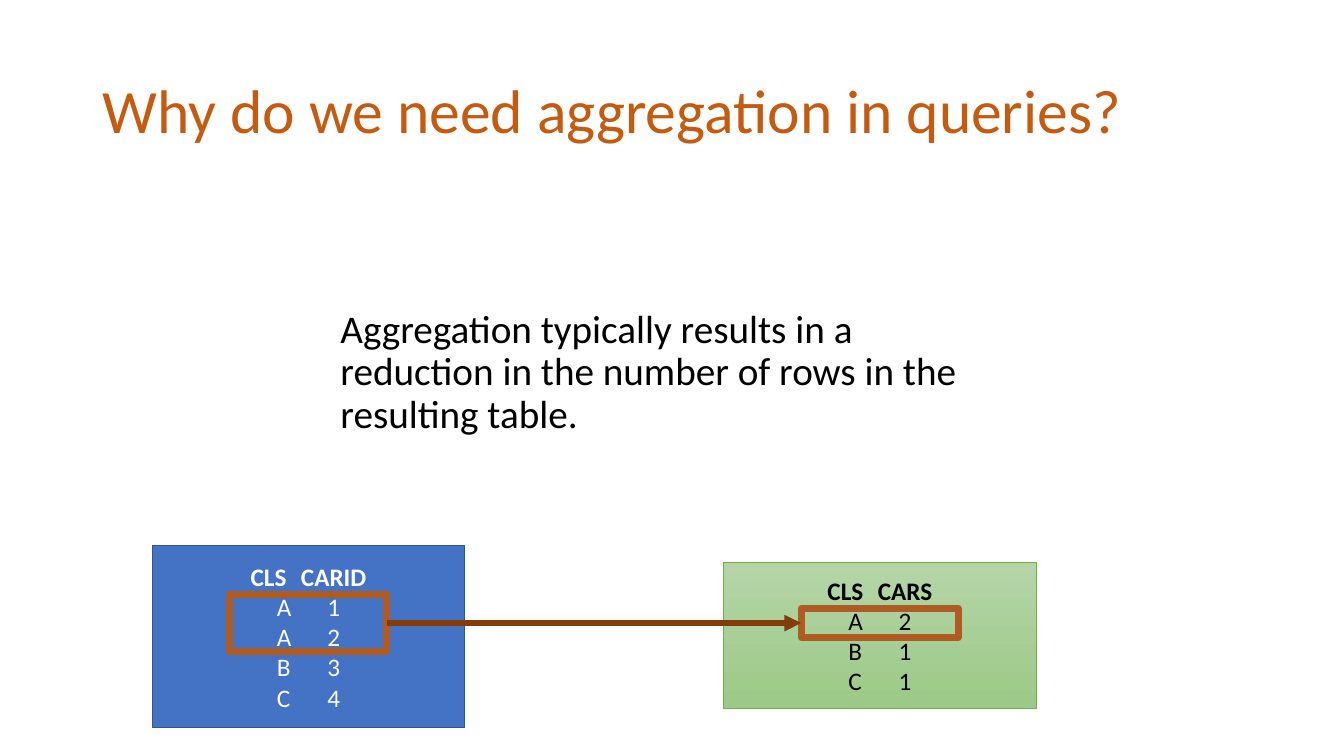
import pptx
import pptx.util
import pptx.dml.color
import pptx.enum.shapes
import pptx.enum.text
from lxml import etree
from pptx.util import Cm

ALIGN = pptx.enum.text.PP_ALIGN
ANCHOR = pptx.enum.text.MSO_ANCHOR
RECT = pptx.enum.shapes.MSO_SHAPE.RECTANGLE


def tint(code):
    """Return the colour for a hex string."""
    return pptx.dml.color.RGBColor.from_string(code)


def style(part, form):
    """Set each attribute in form on part."""
    for key, value in form.items():
        setattr(part, key, value)


def write(frame, lines, size, code, align, form, space=1.0):
    """Fill a text frame with one paragraph per line."""
    style(frame, {"word_wrap": True, **form})
    frame.text = "\n".join(lines)
    for para in frame.paragraphs:
        style(para, {"alignment": align, "line_spacing": space})
        for run in para.runs:
            style(run.font, {"name": "Calibri", "size": pptx.util.Pt(size)})
            run.font.color.rgb = tint(code)


def outline(line, code, width):
    """Colour a line and set its width in points."""
    line.color.rgb = tint(code)
    line.width = pptx.util.Pt(width)


def head(slide, box):
    """Place the slide title in its box."""
    title = slide.shapes.title
    style(title, dict(zip(("left", "top", "width", "height"), map(Cm, box))))
    write(title.text_frame, ["Why do we need aggregation in queries?"], 44,
          "C55A11", ALIGN.LEFT, {"vertical_anchor": ANCHOR.MIDDLE}, 0.9)


def body(slide, box):
    """Place the statement in its box."""
    text = slide.shapes.add_textbox(*map(Cm, box))
    write(text.text_frame,
          ["Aggregation typically results in a reduction in the number of "
           "rows in the resulting table."],
          28, "000000", ALIGN.LEFT, {"margin_top": Cm(3.1)}, 0.9)


def block(slide, box):
    """Add a plain rectangle without shadow."""
    shape = slide.shapes.add_shape(RECT, *map(Cm, box))
    shape.shadow.inherit = False
    return shape


def panel(slide, box, rows, fills, edge, ink, ring):
    """Draw a panel of tabbed rows and return the ring around some of them."""
    left, top, _, _ = box
    card = block(slide, box)
    if len(fills) == 1:
        card.fill.solid()
        card.fill.fore_color.rgb = tint(fills[0])
    else:
        card.fill.gradient()
        card.fill.gradient_angle = 270
        for stop, code in zip(card.fill.gradient_stops, fills):
            stop.color.rgb = tint(code)
    outline(card.line, *edge)
    write(card.text_frame, ["\t".join(row) for row in rows], 18, ink,
          ALIGN.CENTER, {"vertical_anchor": ANCHOR.MIDDLE})
    for run in card.text_frame.paragraphs[0].runs:
        run.font.bold = True
    drop, high = ring
    mark = block(slide, (left + 1.95, top + drop, 3.96, high))
    mark.fill.background()
    outline(mark.line, "AF5C24", 5)
    return mark


def arrow(slide, start, end):
    """Join two rings with an arrow."""
    link = slide.shapes.add_connector(
        pptx.enum.shapes.MSO_CONNECTOR.STRAIGHT, 0, 0, 0, 0)
    link.begin_connect(start, 3)
    link.end_connect(end, 1)
    outline(link.line, "843C0B", 4)
    qn = pptx.oxml.ns.qn
    etree.SubElement(link.line._get_or_add_ln(), qn("a:tailEnd"),
                     type="triangle")
    etree.SubElement(link._element.spPr, qn("a:effectLst"))


def main():
    """Build and save the slide."""
    deck = pptx.Presentation()
    style(deck, {"slide_width": Cm(33.87), "slide_height": Cm(19.05)})
    slide = deck.slides.add_slide(deck.slide_layouts[5])
    head(slide, (2.34, 1.02, 29.21, 3.68))
    body(slide, (8.33, 4.7, 17.22, 8.23))
    cars = panel(slide, (3.84, 13.74, 7.87, 4.6),
                 [("CLS", "CARID"), "A1", "A2", "B3", "C4"],
                 ["4472C4"], ("325491", 1), "FFFFFF", (1.25, 1.42))
    count = panel(slide, (18.24, 14.17, 7.87, 3.68),
                  [("CLS", "CARS"), "A2", "B1", "C1"],
                  ["B5D5A7", "9CC987"], ("70AD47", 0.5), "000000",
                  (1.16, 0.74))
    arrow(slide, cars, count)
    deck.save("out.pptx")


if __name__ == "__main__":
    main()
